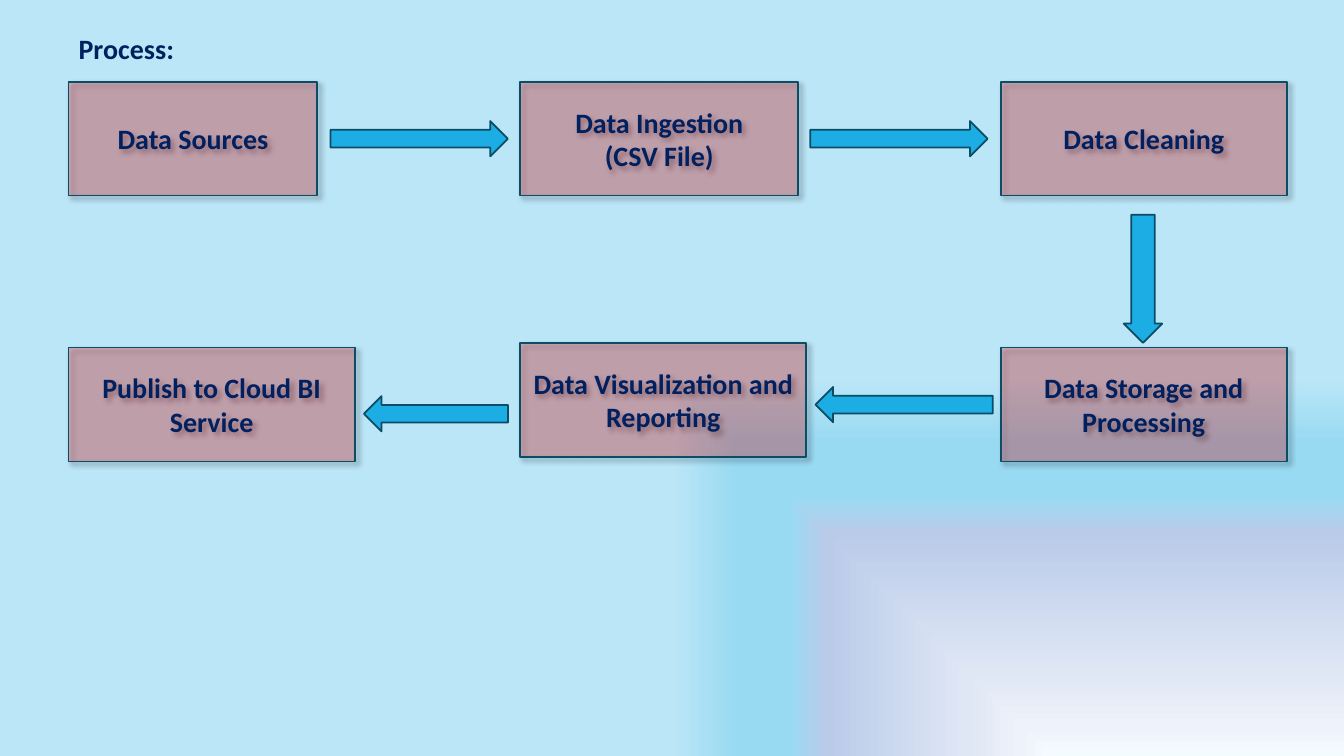
from lxml import etree
from pptx import Presentation
from pptx.dml.color import RGBColor
from pptx.enum.shapes import MSO_SHAPE
from pptx.enum.text import MSO_ANCHOR, PP_ALIGN
from pptx.oxml import parse_xml
from pptx.oxml.ns import nsdecls, qn
from pptx.util import Cm, Pt

RECTANGLE = MSO_SHAPE.RECTANGLE
PROCESS = MSO_SHAPE.FLOWCHART_PROCESS
RIGHT_ARROW = MSO_SHAPE.RIGHT_ARROW
DOWN_ARROW = MSO_SHAPE.DOWN_ARROW
CENTER = PP_ALIGN.CENTER
MIDDLE = MSO_ANCHOR.MIDDLE

COLORS = {
    "step": "FF0000",
    "arrow": "1CADE4",
    "outline": "0C4C64",
    "text": "002060",
    "shadow": "000000",
}
BACKDROP = [
    (0, "F4FBFE"), (8, "EEF2FA"), (22, "DFE7F5"), (59, "BACBE9"),
    (69, "99DAF3"), (83, "99DAF3"), (100, "BBE6F7"),
]
FONT = "Calibri"
LEFT, MIDDLE_COLUMN, RIGHT = 1.73, 13.11, 25.22
TOP_ROW, BOTTOM_ROW = 2.06, 8.76
STEP_WIDTH, STEP_HEIGHT = 7.21, 2.87
ARROW_LENGTH, ARROW_HEIGHT = 4.47, 0.89

STEPS = [
    ("Data Sources", RECTANGLE, LEFT, TOP_ROW, 6.27),
    ("Data Ingestion\n(CSV File)", PROCESS, MIDDLE_COLUMN, TOP_ROW, 7.01),
    ("Data Cleaning", PROCESS, RIGHT, TOP_ROW, STEP_WIDTH),
    ("Data Storage and Processing", PROCESS, RIGHT, BOTTOM_ROW, STEP_WIDTH),
    ("Data Visualization and Reporting", PROCESS, MIDDLE_COLUMN, 8.64, STEP_WIDTH),
    ("Publish to Cloud BI Service", PROCESS, LEFT, BOTTOM_ROW, STEP_WIDTH),
]
FLOW_ARROWS = [
    (8.33, 3.05, ARROW_LENGTH, 0),
    (20.42, 3.05, ARROW_LENGTH, 0),
    (20.55, 9.75, ARROW_LENGTH, 180),
    (9.17, 9.98, 3.63, 180),
]


def color(name):
    return RGBColor.from_string(COLORS[name])


def set_backdrop(slide):
    stops = "".join(
        f'<a:gs pos="{percent * 1000}"><a:srgbClr val="{shade}"/></a:gs>'
        for percent, shade in BACKDROP
    )
    backdrop = parse_xml(
        f'<p:bg {nsdecls("p", "a")}><p:bgPr><a:gradFill rotWithShape="1">'
        f'<a:gsLst>{stops}</a:gsLst><a:path path="rect">'
        '<a:fillToRect l="100000" t="100000"/></a:path></a:gradFill>'
        '<a:effectLst/></p:bgPr></p:bg>'
    )
    slide.element.find(qn("p:cSld")).insert(0, backdrop)


def write_text(frame, text):
    frame.text = text
    for paragraph in frame.paragraphs:
        for run in paragraph.runs:
            run.font.name = FONT
            run.font.size = Pt(20)
            run.font.bold = True
            run.font.color.rgb = color("text")


def add_outlined(slide, kind, left, top, width, height, fill):
    outlined = slide.shapes.add_shape(kind, Cm(left), Cm(top), Cm(width), Cm(height))
    outlined.shadow.inherit = False
    outlined.fill.solid()
    outlined.fill.fore_color.rgb = color(fill)
    outlined.line.color.rgb = color("outline")
    outlined.line.width = Pt(1.25)
    return outlined


def add_alpha(tint, percent):
    etree.SubElement(tint, qn("a:alpha"), val=str(percent * 1000))


def add_step(slide, text, kind, left, top, width):
    step = add_outlined(slide, kind, left, top, width, STEP_HEIGHT, "step")
    properties = step.element.spPr
    add_alpha(properties.find(f"{qn('a:solidFill')}/{qn('a:srgbClr')}"), 24)
    shadow = etree.SubElement(
        properties.find(qn("a:effectLst")), qn("a:outerShdw"),
        blurRad=str(Pt(4)), dist=str(Pt(3)), dir=str(45 * 60000),
        algn="tl", rotWithShape="0",
    )
    add_alpha(etree.SubElement(shadow, qn("a:srgbClr"), val=COLORS["shadow"]), 40)
    frame = step.text_frame
    frame.word_wrap = True
    frame.vertical_anchor = MIDDLE
    write_text(frame, text)
    for paragraph in frame.paragraphs:
        paragraph.alignment = CENTER


def add_flow_arrow(slide, left, top, length, rotation):
    arrow = add_outlined(slide, RIGHT_ARROW, left, top, length, ARROW_HEIGHT, "arrow")
    arrow.rotation = rotation


def add_down_arrow(slide):
    arrow = add_outlined(slide, DOWN_ARROW, 28.32, 5.41, 0.97, 3.23, "arrow")
    arrow.adjustments[0] = 0.61


def add_heading(slide, text):
    heading = slide.shapes.add_textbox(Cm(LEFT), Cm(0.66), Cm(3.78), Cm(1.12))
    heading.text_frame.word_wrap = True
    write_text(heading.text_frame, text)


def main():
    presentation = Presentation()
    presentation.slide_width = Cm(33.87)
    presentation.slide_height = Cm(19.05)
    slide = presentation.slides.add_slide(presentation.slide_layouts[6])
    set_backdrop(slide)
    add_heading(slide, "Process:")
    for step in STEPS:
        add_step(slide, *step)
    for arrow in FLOW_ARROWS:
        add_flow_arrow(slide, *arrow)
    add_down_arrow(slide)
    presentation.save("out.pptx")


if __name__ == "__main__":
    main()
